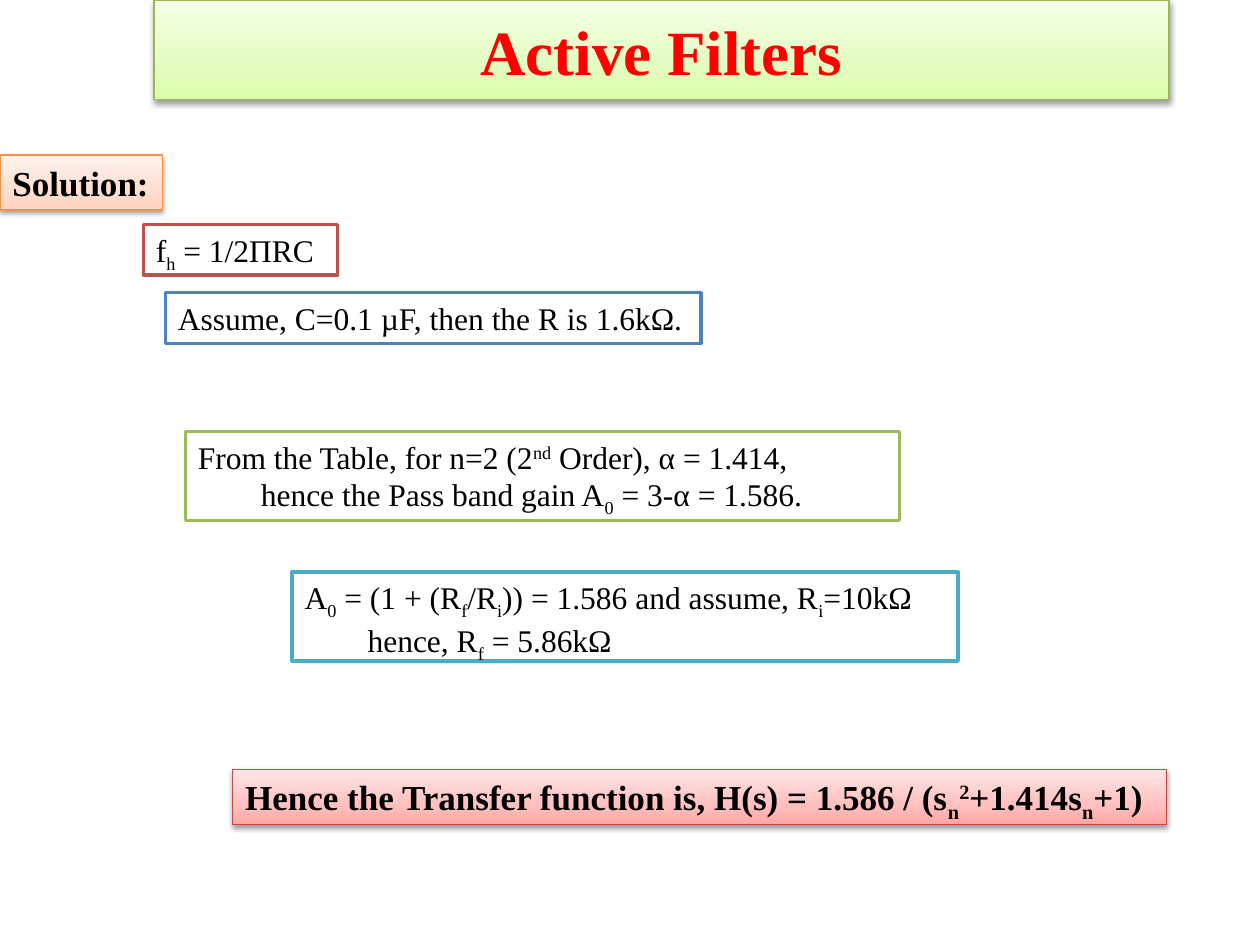
from lxml import etree
from copy import deepcopy
from pptx import Presentation
from pptx.dml.color import RGBColor
from pptx.enum import text
from pptx.oxml.ns import qn
from pptx.util import Pt

INK = {
    "black": "000000", "red": "FF0000", "white": "FFFFFF",
    "brick": "C0504D", "blue": "4F81BD", "green": "9BBB59", "aqua": "4BACC6",
}
# Edge colour, then the gradient from bottom to top
GLOW = {
    "lime": ("98B955", "DAFDA7", "E4FCC2", "F5FFE7"),
    "peach": ("F69240", "FFD2BD", "FFDED0", "FFF2ED"),
    "rose": ("BF4C48", "FFA6A5", "FFC0BF", "FFE7E7"),
}
BASE = {"_": "-25000", "^": "30000"}


class Deck:
    font = "Times New Roman"

    def __init__(self, wide, high):
        self.prs = Presentation()
        self.prs.slide_width, self.prs.slide_height = Pt(wide), Pt(high)
        self.slide = self.prs.slides.add_slide(self.prs.slide_layouts[5])

    def edge(self, shape, hue, width):
        shape.line.color.rgb = RGBColor.from_string(hue)
        shape.line.width = Pt(width)

    def glow(self, shape, name):
        """Give a shape a three-stop gradient, a thin edge and a soft shadow."""
        edge, *hues = GLOW[name]
        shape.fill.gradient()
        shape.fill.gradient_angle = 90
        stops = shape._element.spPr.find(qn("a:gradFill")).find(qn("a:gsLst"))
        stops.append(deepcopy(stops[0]))
        for stop, hue, pos in zip(shape.fill.gradient_stops, hues, (0, 0.35, 1)):
            stop.color.rgb = RGBColor.from_string(hue)
            stop.position = pos
        self.edge(shape, edge, 0.75)
        shape.shadow.inherit = False
        fx = shape._element.spPr.find(qn("a:effectLst"))
        drop = etree.SubElement(fx, qn("a:outerShdw"), blurRad="40000",
                                dist="20000", dir="5400000", rotWithShape="0")
        hue = etree.SubElement(drop, qn("a:srgbClr"), val=INK["black"])
        etree.SubElement(hue, qn("a:alpha"), val="38000")

    def spell(self, para, line, size, bold=False, hue="black"):
        """Add a line whose |-parts starting with _ or ^ are sub- or superscript."""
        for part in line.split("|"):
            run = para.add_run()
            shift = BASE.get(part[0])
            run.text = part[1:] if shift else part
            run.font.name, run.font.size, run.font.bold = self.font, Pt(size), bold
            run.font.color.rgb = RGBColor.from_string(INK[hue])
            if shift:
                run._r.get_or_add_rPr().set("baseline", shift)

    def title(self, words, left, top, wide, high):
        head = self.slide.shapes.title
        head.left, head.top, head.width, head.height = map(Pt, (left, top, wide, high))
        self.glow(head, "lime")
        head.text_frame.vertical_anchor = text.MSO_ANCHOR.MIDDLE
        para = head.text_frame.paragraphs[0]
        para.alignment = text.PP_ALIGN.CENTER
        self.spell(para, words, 36, True, "red")

    def box(self, lines, place, size=18, bold=False):
        shape = self.slide.shapes.add_textbox(*map(Pt, place))
        frame = shape.text_frame
        frame.word_wrap = True
        for i, line in enumerate(lines):
            para = frame.add_paragraph() if i else frame.paragraphs[0]
            self.spell(para, line, size, bold)
        return shape

    def step(self, hue, place, *lines):
        shape = self.box(lines, place)
        shape.fill.solid()
        shape.fill.fore_color.rgb = RGBColor.from_string(INK["white"])
        self.edge(shape, INK[hue], 2)

    def label(self, name, place, line):
        self.glow(self.box([line], place, 20, True), name)


def main():
    deck = Deck(720, 540)
    deck.title("Active Filters", 88, 0, 580, 57)
    deck.label("peach", (0, 88.5, 93, 31.5), "Solution:")
    deck.step("brick", (82, 128.25, 111, 29), "f|_h| = 1/2ΠRC")
    deck.step("blue", (94.5, 167.25, 306, 29),
              "Assume, C=0.1 µF, then the R is 1.6kΩ.")
    deck.step("green", (106, 246.5, 408, 51),
              "From the Table, for n=2 (2|^nd| Order), α = 1.414,",
              "\thence the Pass band gain A|_0| = 3-α = 1.586.")
    deck.step("aqua", (167, 326.75, 380.5, 51),
              "A|_0| = (1 + (R|_f|/R|_i|)) = 1.586 and assume, R|_i|=10kΩ",
              "\thence, R|_f| = 5.86kΩ")
    deck.label("rose", (133, 439.5, 533.5, 31.5),
               "Hence the Transfer function is, H(s) = 1.586 / (s|_n|^2|+1.414s|_n|+1)")
    deck.prs.save("out.pptx")


if __name__ == "__main__":
    main()
